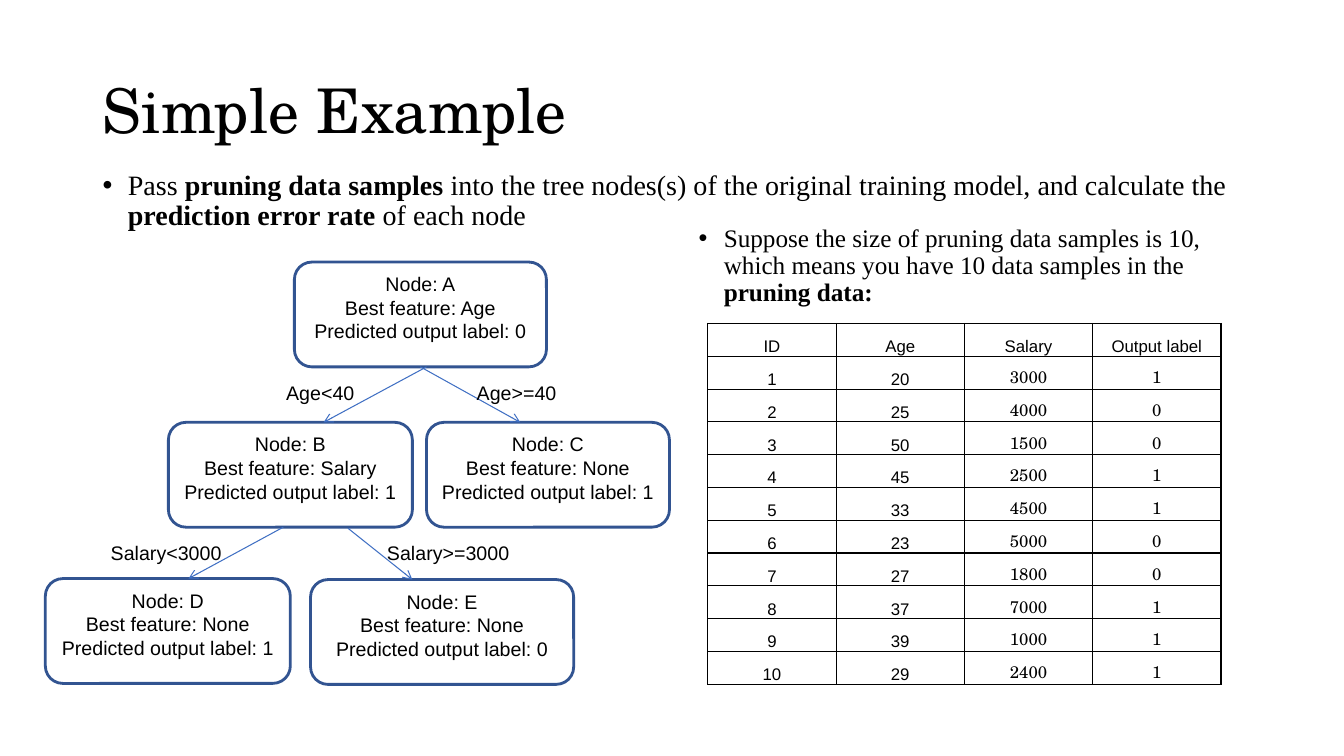
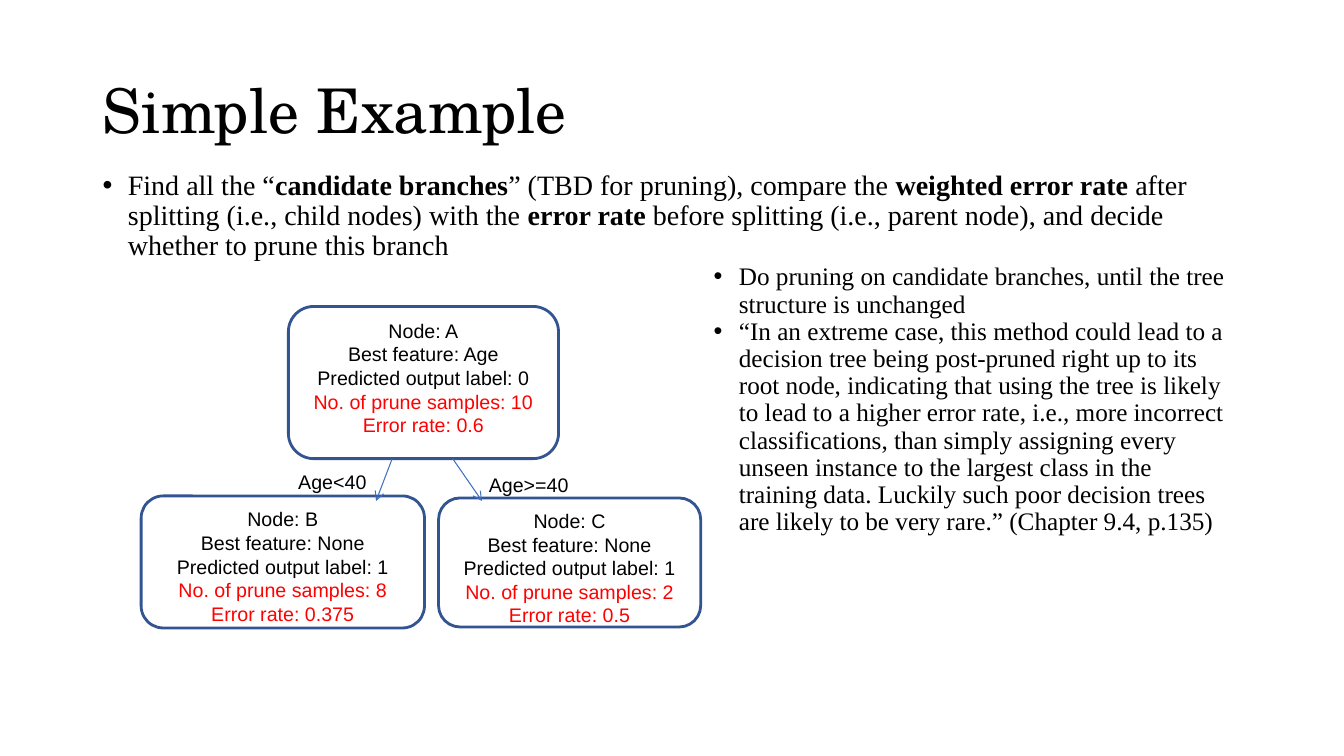
from lxml import etree
from pptx import Presentation
from pptx.dml.color import RGBColor
from pptx.enum.shapes import MSO_CONNECTOR, MSO_SHAPE
from pptx.enum.text import MSO_ANCHOR, MSO_AUTO_SIZE, PP_ALIGN
from pptx.oxml.ns import qn
from pptx.util import Inches, Pt

LEFT, CENTER = PP_ALIGN.LEFT, PP_ALIGN.CENTER
TOP, MIDDLE, BOTTOM = MSO_ANCHOR.TOP, MSO_ANCHOR.MIDDLE, MSO_ANCHOR.BOTTOM
NO_AUTOSIZE = MSO_AUTO_SIZE.NONE
ROUNDED = MSO_SHAPE.ROUNDED_RECTANGLE
STRAIGHT = MSO_CONNECTOR.STRAIGHT
BOTTOM_SITE = 2

COLORS = {"text": "000000", "paper": "FFFFFF", "node": "325491",
          "branch": "3F6FC3", "pruning": "FF0000"}
SANS, SERIF, DISPLAY = "Arial", "Times New Roman", "TeX Gyre Schola"

TITLE_BOX = (0.92, 0.4, 11.5, 1.45)
BODY_BOX = (0.92, 1.65, 11.5, 4.76)
BULLET_INDENT = Inches(0.25)

SAMPLE_HEADER = ("ID", "Age", "Salary", "Output label")
SAMPLES = [(20, 3000, 1), (25, 4000, 0), (50, 1500, 0), (45, 2500, 1),
           (33, 4500, 1), (23, 5000, 0), (27, 1800, 0), (37, 7000, 1),
           (39, 1000, 1), (29, 2400, 1)]

# Tree parts are offsets from the top left corner of the tree.
# Node: name, box, best feature, label, then samples and error rate if known.
# Branch: start, end, or a node name as start for the middle of its bottom side.
FULL_TREE = {
    "nodes": [
        ("A", (2.47, 0, 2.5, 1.04), "Age", 0),
        ("B", (1.22, 1.59, 2.42, 1.04), "Salary", 1),
        ("C", (3.78, 1.59, 2.41, 1.04), "None", 1),
        ("D", (0, 3.14, 2.43, 1.04), "None", 1),
        ("E", (2.63, 3.15, 2.61, 1.04), "None", 0),
    ],
    "branches": [
        ((3.78, 1.04), (2.76, 1.59)),
        ("A", (4.71, 1.59)),
        ((2.36, 2.63), (1.42, 3.14)),
        ((3.0, 2.64), (3.64, 3.15)),
    ],
    "conditions": [
        ("Age<40", (2.29, 1.13, 1.14, 0.34)),
        ("Age>=40", (4.18, 1.13, 1.14, 0.34)),
        ("Salary<3000", (0.55, 2.72, 1.34, 0.34)),
        ("Salary>=3000", (3.29, 2.72, 1.67, 0.34)),
    ],
}
PRUNED_TREE = {
    "nodes": [
        ("A", (1.46, 0, 2.68, 1.51), "Age", 0, 10, 0.6),
        ("B", (0, 1.88, 2.81, 1.31), "None", 1, 8, 0.375),
        ("C", (2.95, 1.9, 2.6, 1.28), "None", 1, 2, 0.5),
    ],
    "branches": [
        ((2.49, 1.51), (2.33, 1.93)),
        ((3.09, 1.51), (3.38, 1.93)),
    ],
    "conditions": [
        ("Age<40", (1.46, 1.57, 1.14, 0.34)),
        ("Age>=40", (3.35, 1.6, 1.14, 0.34)),
    ],
}


def rgb(name):
    return RGBColor.from_string(COLORS[name])


def inches(values):
    return [Inches(value) for value in values]


def shifted(box, origin):
    return (box[0] + origin[0], box[1] + origin[1], *box[2:])


def write(frame, lines, size, font=SANS, align=LEFT, anchor=TOP,
          bullet=False, spacing=None, accent_from=None):
    """Fill a frame; **marks** set bold, lines from accent_from on are red."""
    frame.word_wrap = True
    frame.vertical_anchor = anchor
    for index, line in enumerate(lines):
        paragraph = frame.add_paragraph() if index else frame.paragraphs[0]
        paragraph.alignment = align
        paragraph.space_before = Pt(0)
        if spacing:
            paragraph.line_spacing = spacing
        if bullet:
            add_bullet(paragraph)
        accented = accent_from is not None and index >= accent_from
        for part, words in enumerate(line.split("**")):
            if words:
                run = paragraph.add_run()
                run.text = words
                run.font.name = font
                run.font.size = Pt(size)
                run.font.bold = part % 2 == 1
                run.font.color.rgb = rgb("pruning" if accented else "text")


def add_bullet(paragraph):
    properties = paragraph._p.get_or_add_pPr()
    properties.set("marL", str(BULLET_INDENT))
    properties.set("indent", str(-BULLET_INDENT))
    etree.SubElement(properties, qn("a:buFont"), typeface="Arial")
    etree.SubElement(properties, qn("a:buChar"), char="•")


def add_text(slide, box, lines, size, **style):
    frame = slide.shapes.add_textbox(*inches(box)).text_frame
    write(frame, lines, size, **style)


def add_bullets(slide, box, lines, size):
    add_text(slide, box, lines, size, font=SERIF, bullet=True, spacing=0.9)


def add_node(slide, box, name, feature, label, samples=None, error=None):
    node = slide.shapes.add_shape(ROUNDED, *inches(box))
    node.shadow.inherit = False
    node.fill.background()
    node.line.color.rgb = rgb("node")
    node.line.width = Pt(2)
    frame = node.text_frame
    frame.margin_left = frame.margin_right = Inches(0.05)
    lines = [f"Node: {name}", f"Best feature: {feature}",
             f"Predicted output label: {label}"]
    if samples is not None:
        lines += [f"No. of prune samples: {samples}", f"Error rate: {error}"]
    write(frame, lines, 14, align=CENTER, accent_from=3)
    return node


def add_branch(slide, start, end, parent=None):
    branch = slide.shapes.add_connector(STRAIGHT, *inches((*start, *end)))
    if parent is not None:
        branch.begin_connect(parent, BOTTOM_SITE)
    branch.line.color.rgb = rgb("branch")
    branch.line.width = Pt(0.75)
    etree.SubElement(branch.line._get_or_add_ln(), qn("a:tailEnd"), type="arrow")
    etree.SubElement(branch._element.spPr, qn("a:effectLst"))


def add_tree(slide, origin, tree):
    nodes = {}
    for name, box, *facts in tree["nodes"]:
        nodes[name] = add_node(slide, shifted(box, origin), name, *facts)
    for start, end in tree["branches"]:
        parent = nodes.get(start)
        begin = origin if parent is not None else shifted(start, origin)
        add_branch(slide, begin, shifted(end, origin), parent)
    for condition, box in tree["conditions"]:
        add_text(slide, shifted(box, origin), [condition], 14)


def style_cell(cell):
    """Draw thin borders, then the fill, which has to follow them."""
    properties = cell._tc.get_or_add_tcPr()
    for side in ("lnL", "lnR", "lnT", "lnB"):
        border = etree.SubElement(properties, qn(f"a:{side}"), w=str(Pt(1)))
        fill = etree.SubElement(border, qn("a:solidFill"))
        etree.SubElement(fill, qn("a:srgbClr"), val=COLORS["text"])
    cell.fill.solid()
    cell.fill.fore_color.rgb = rgb("paper")
    cell.margin_left = cell.margin_right = cell.margin_top = Inches(0.01)
    cell.margin_bottom = 0


def add_sample_table(slide, box):
    rows = [SAMPLE_HEADER]
    rows += [(number, *sample) for number, sample in enumerate(SAMPLES, 1)]
    table = slide.shapes.add_table(
        len(rows), len(SAMPLE_HEADER), *inches(box)).table
    table.first_row = table.horz_banding = False
    for column in table.columns:
        column.width = Inches(box[2] / len(SAMPLE_HEADER))
    for r, values in enumerate(rows):
        table.rows[r].height = Inches(box[3] / len(rows))
        for c, value in enumerate(values):
            cell = table.cell(r, c)
            style_cell(cell)
            write(cell.text_frame, [str(value)], 12, align=CENTER,
                  font=DISPLAY if r and c >= 2 else SANS)
            cell.vertical_anchor = BOTTOM


def add_example_slide(deck, summary):
    slide = deck.slides.add_slide(deck.slide_layouts[5])
    title = slide.shapes.title
    title.left, title.top, title.width, title.height = inches(TITLE_BOX)
    title.text_frame.auto_size = NO_AUTOSIZE
    write(title.text_frame, ["Simple Example"], 44, font=DISPLAY,
          anchor=MIDDLE, spacing=0.9)
    add_bullets(slide, BODY_BOX, [summary], 20)
    return slide


def add_samples_slide(deck):
    slide = add_example_slide(
        deck, "Pass **pruning data samples **into the tree nodes(s) of the "
        "original training model, and calculate the **prediction error rate "
        "**of each node")
    add_bullets(slide, (6.83, 2.19, 5.28, 4.22), [
        "Suppose the size of pruning data samples is 10, which means you have "
        "10 data samples in the **pruning data:**"], 18)
    add_tree(slide, (0.45, 2.6), FULL_TREE)
    add_sample_table(slide, (7.02, 3.21, 5.09, 3.58))


def add_pruning_slide(deck):
    slide = add_example_slide(
        deck, "Find all the “**candidate branches**” (TBD for pruning), "
        "compare the **weighted error rate **after splitting (i.e., child "
        "nodes) with the **error rate **before splitting (i.e., parent node), "
        "and decide whether to prune this branch")
    add_bullets(slide, (6.98, 2.57, 5.28, 4.22), [
        "Do pruning on candidate branches, until the tree structure is "
        "unchanged",
        "“In an extreme case, this method could lead to a decision tree being "
        "post-pruned right up to its root node, indicating that using the "
        "tree is likely to lead to a higher error rate, i.e., more incorrect "
        "classifications, than simply assigning every unseen instance to the "
        "largest class in the training data. Luckily such poor decision trees "
        "are likely to be very rare.” (Chapter 9.4, p.135)"], 18)
    add_tree(slide, (1.4, 3.04), PRUNED_TREE)


def main():
    deck = Presentation()
    deck.slide_width, deck.slide_height = inches((13.33, 7.5))
    add_samples_slide(deck)
    add_pruning_slide(deck)
    deck.save("out.pptx")


if __name__ == "__main__":
    main()
